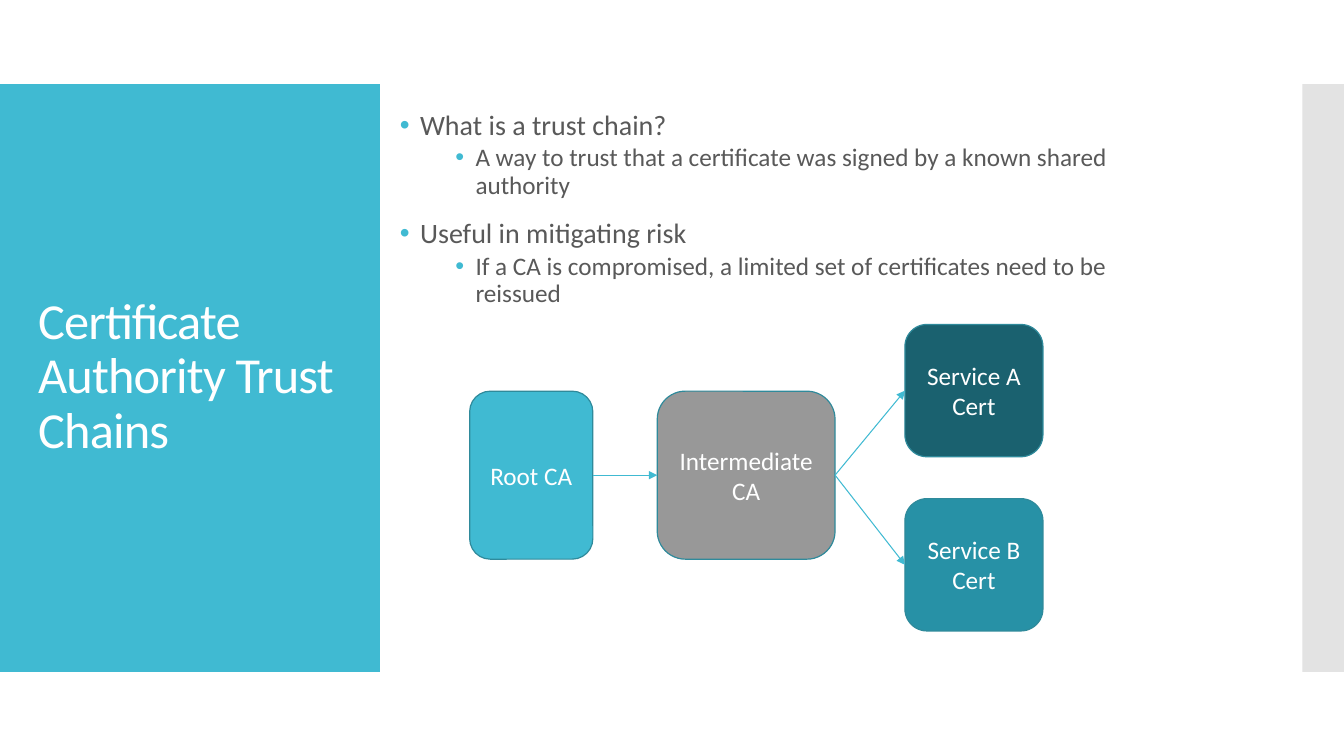
from dataclasses import dataclass
from lxml.etree import SubElement
from pptx import Presentation
from pptx.dml.color import RGBColor
from pptx.enum.shapes import MSO_CONNECTOR, MSO_SHAPE
from pptx.enum.text import MSO_ANCHOR, PP_ALIGN
from pptx.oxml.ns import qn
from pptx.shapes.autoshape import Shape
from pptx.util import Pt

FONT = "Calibri"
TEAL, WHITE, GRAY = "40BAD2", "FFFFFF", "595959"
LEFT_SITE, RIGHT_SITE = 1, 3


@dataclass
class Node:
    text: str
    left: float
    top: float
    width: float
    height: float
    fill: str


@dataclass
class Level:
    size: float
    indent: float
    before: float
    after: float


LEVELS = [Level(20, 14.4, 12, 0), Level(18, 54, 2.5, 2.5)]
BULLETS = [
    (0, "What is a trust chain?"),
    (1, "A way to trust that a certificate was signed by a known shared authority"),
    (0, "Useful in mitigating risk"),
    (1, "If a CA is compromised, a limited set of certificates need to be reissued"),
]
NODES = [
    Node("Root CA", 335.5, 279.4, 88, 120, TEAL),
    Node("Intermediate CA", 469.5, 279.4, 127, 120, "989898"),
    Node("Service A Cert", 646.4, 231.8, 98.6, 94.5, "1A616F"),
    Node("Service B Cert", 646.4, 356.2, 98.6, 94.5, "2791A6"),
]
LINKS = [(0, 1), (1, 2), (1, 3)]


def rgb(color: str) -> RGBColor:
    return RGBColor.from_string(color)


def format_text(p, size: float, color: str) -> None:
    for r in p.runs:
        r.font.name = FONT
        r.font.size = Pt(size)
        r.font.color.rgb = rgb(color)


def add_box(slide, kind, node: Node) -> Shape:
    sp = slide.shapes.add_shape(
        kind, Pt(node.left), Pt(node.top), Pt(node.width), Pt(node.height))
    sp.shadow.inherit = False
    sp.fill.solid()
    sp.fill.fore_color.rgb = rgb(node.fill)
    sp.line.fill.background()
    return sp


def add_node(slide, node: Node) -> Shape:
    sp = add_box(slide, MSO_SHAPE.ROUNDED_RECTANGLE, node)
    sp.line.color.rgb = rgb("2F8A9B")
    sp.line.width = Pt(0.85)
    tf = sp.text_frame
    tf.text = node.text
    tf.word_wrap = True
    tf.vertical_anchor = MSO_ANCHOR.MIDDLE
    p = tf.paragraphs[0]
    p.alignment = PP_ALIGN.CENTER
    format_text(p, 18, WHITE)
    return sp


def add_arrow(slide, start: Shape, end: Shape) -> None:
    cxn = slide.shapes.add_connector(MSO_CONNECTOR.STRAIGHT, 0, 0, 0, 0)
    cxn.begin_connect(start, RIGHT_SITE)
    cxn.end_connect(end, LEFT_SITE)
    cxn.line.color.rgb = rgb(TEAL)
    cxn.line.width = Pt(0.75)
    SubElement(cxn.line._get_or_add_ln(), qn("a:tailEnd"), type="triangle")
    SubElement(cxn._element.spPr, qn("a:effectLst"))


def add_bullet(p, text: str, level: int) -> None:
    style = LEVELS[level]
    p.text = text
    p.level = level
    p.line_spacing = 0.9
    p.space_before = Pt(style.before)
    p.space_after = Pt(style.after)
    format_text(p, style.size, GRAY)
    pPr = p._p.get_or_add_pPr()
    pPr.set("marL", str(Pt(style.indent)))
    pPr.set("indent", str(-Pt(14.4)))
    SubElement(SubElement(pPr, qn("a:buClr")), qn("a:srgbClr"), val=TEAL)
    SubElement(pPr, qn("a:buFont"), typeface="Arial")
    SubElement(pPr, qn("a:buChar"), char="•")


def add_bullets(slide) -> None:
    tb = slide.shapes.add_textbox(Pt(278.6), Pt(76), Pt(576), Pt(150))
    tf = tb.text_frame
    tf.word_wrap = True
    for i, (level, text) in enumerate(BULLETS):
        p = tf.add_paragraph() if i else tf.paragraphs[0]
        add_bullet(p, text, level)
    tf.paragraphs[0].space_before = Pt(0)


def set_title(slide, text: str) -> None:
    title = slide.shapes.title
    title.left, title.top, title.width, title.height = Pt(20), Pt(88.5), Pt(232), Pt(362)
    slide.shapes._spTree.append(title._element)
    tf = title.text_frame
    tf.text = text
    tf.word_wrap = True
    tf.vertical_anchor = MSO_ANCHOR.MIDDLE
    p = tf.paragraphs[0]
    p.alignment = PP_ALIGN.LEFT
    p.line_spacing = 0.9
    format_text(p, 36, WHITE)
    p.runs[0].font._element.set("spc", "-60")


prs = Presentation()
prs.slide_width, prs.slide_height = Pt(960), Pt(540)
slide = prs.slides.add_slide(prs.slide_layouts[5])
for panel in (Node("", 0, 60, 271.3, 420, TEAL), Node("", 930.3, 60, 29.7, 420, "E3E3E3")):
    add_box(slide, MSO_SHAPE.RECTANGLE, panel)
set_title(slide, "Certificate Authority Trust Chains")
add_bullets(slide)
boxes = [add_node(slide, node) for node in NODES]
for start, end in LINKS:
    add_arrow(slide, boxes[start], boxes[end])
prs.save("out.pptx")
